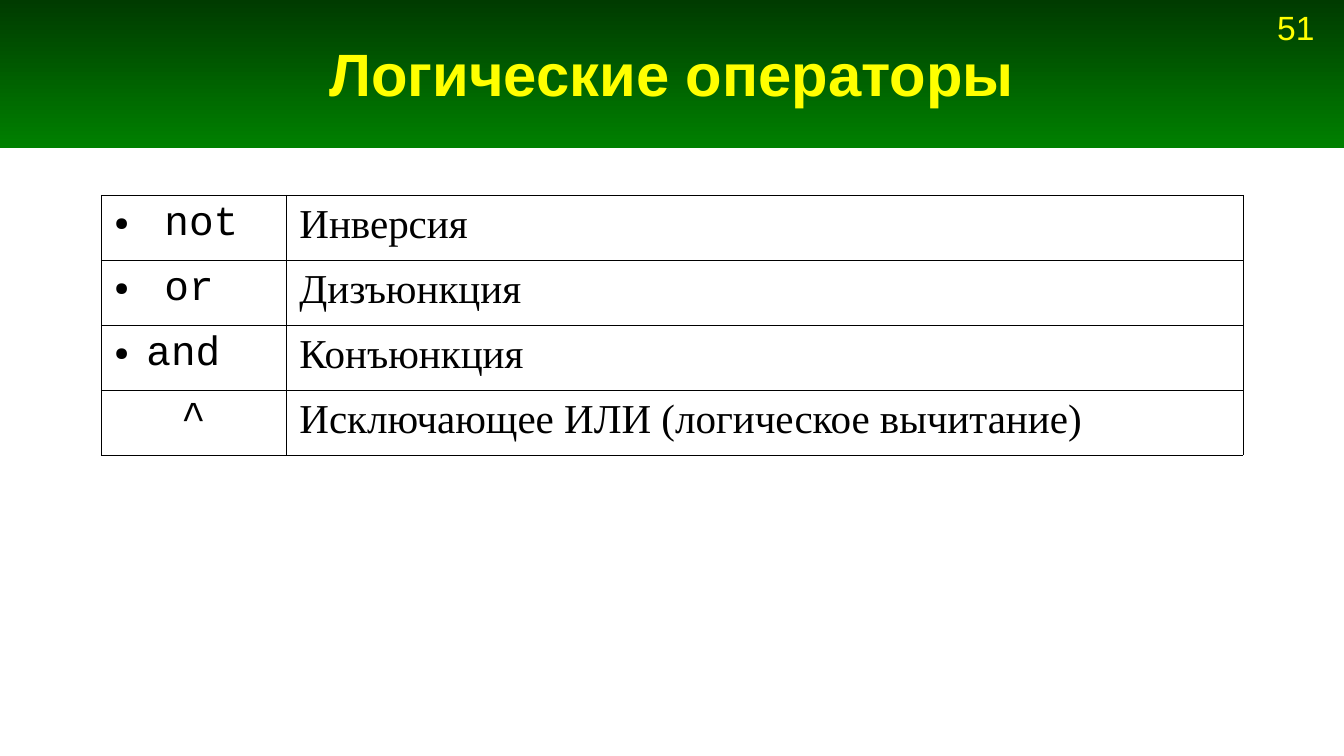
"""Build a slide with a table of logical operators."""
from lxml.etree import SubElement
from pptx import Presentation
from pptx.dml.color import RGBColor
from pptx.enum.shapes import MSO_SHAPE
from pptx.enum.text import MSO_ANCHOR, MSO_AUTO_SIZE, PP_ALIGN
from pptx.oxml.ns import qn
from pptx.util import Emu, Pt

HUES = {"dark": "003B00", "green": "008000", "gold": "FFFF00", "ink": "000000"}
SCALE = 914400 / 134.4
ROWS = [
    ("not", 50, "Инверсия"),
    ("or", 50, "Дизъюнкция"),
    ("and", 32, "Конъюнкция"),
    ("^", 0, "Исключающее ИЛИ (логическое вычитание)"),
]


def px(size):
    return Emu(round(size * SCALE))


def hue(name):
    return RGBColor.from_string(HUES[name])


class Deck:
    def __init__(self, wide, high):
        self.show = Presentation()
        self.show.slide_width, self.show.slide_height = px(wide), px(high)
        self.slide = self.show.slides.add_slide(self.show.slide_layouts[5])
        self.shapes = self.slide.shapes

    def style(self, para, text, face, size, tint, align, bold=False):
        para.text = text
        para.alignment = align
        font = para.font
        font.name, font.size, font.bold = face, Pt(size), bold
        font.color.rgb = hue(tint)

    def band(self, left, top, wide, high):
        shape = self.shapes.add_shape(MSO_SHAPE.RECTANGLE, *map(px, (left, top, wide, high)))
        shape.shadow.inherit = False
        shape.line.fill.background()
        shape.fill.gradient()
        shape.fill.gradient_angle = 270
        for stop, name in zip(shape.fill.gradient_stops, ("dark", "green")):
            stop.color.rgb = hue(name)
        self.shapes.title.element.addprevious(shape.element)

    def title(self, text, left, top, wide, high):
        shape = self.shapes.title
        shape.left, shape.top, shape.width, shape.height = map(px, (left, top, wide, high))
        frame = shape.text_frame
        frame.auto_size = MSO_AUTO_SIZE.NONE
        frame.vertical_anchor = MSO_ANCHOR.MIDDLE
        self.style(frame.paragraphs[0], text, "Arial", 32, "gold", PP_ALIGN.CENTER, True)

    def label(self, text, left, top, wide, high):
        frame = self.shapes.add_textbox(*map(px, (left, top, wide, high))).text_frame
        self.style(frame.paragraphs[0], text, "Arial", 18, "gold", PP_ALIGN.LEFT)

    def hang(self, para, depth, dot):
        props = para._p.get_or_add_pPr()
        props.set("marL", str(px(depth)))
        props.set("indent", str(-px(depth)))
        if dot:
            tint = SubElement(props, qn("a:buClr"))
            SubElement(tint, qn("a:srgbClr"), val=HUES["ink"])
            SubElement(props, qn("a:buSzPct"), val="45000")
            SubElement(props, qn("a:buChar"), char="●")

    def frame(self, cell):
        props = cell._tc.get_or_add_tcPr()
        for side in "LRTB":
            line = SubElement(props, qn(f"a:ln{side}"), w=str(Pt(0.06)))
            fill = SubElement(line, qn("a:solidFill"))
            SubElement(fill, qn("a:srgbClr"), val=HUES["ink"])
        cell.fill.background()

    def cell(self, cell, text, face, depth, dot):
        self.frame(cell)
        para = cell.text_frame.paragraphs[0]
        if depth:
            self.hang(para, depth, dot)
        align = PP_ALIGN.JUSTIFY if depth else PP_ALIGN.CENTER
        self.style(para, text, face, 22, "ink", align)

    def table(self, rows, left, top, cols, high):
        box = map(px, (left, top, sum(cols), high * len(rows)))
        table = self.shapes.add_table(len(rows), len(cols), *box).table
        table.first_row = table.horz_banding = False
        for col, wide in zip(table.columns, cols):
            col.width = px(wide)
        for row, (sign, depth, name) in zip(table.rows, rows):
            row.height = px(high)
            self.cell(row.cells[0], sign, "Courier New", depth, True)
            self.cell(row.cells[1], name, "Times New Roman", 50, False)


def main():
    deck = Deck(1344, 756)
    deck.band(0, 0, 1344, 148)
    deck.title("Логические операторы", 101, 7, 1142, 132)
    deck.label("51", 1264, 0, 80, 54)
    deck.table(ROWS, 101, 195, (185, 957), 65)
    deck.show.save("out.pptx")


if __name__ == "__main__":
    main()
